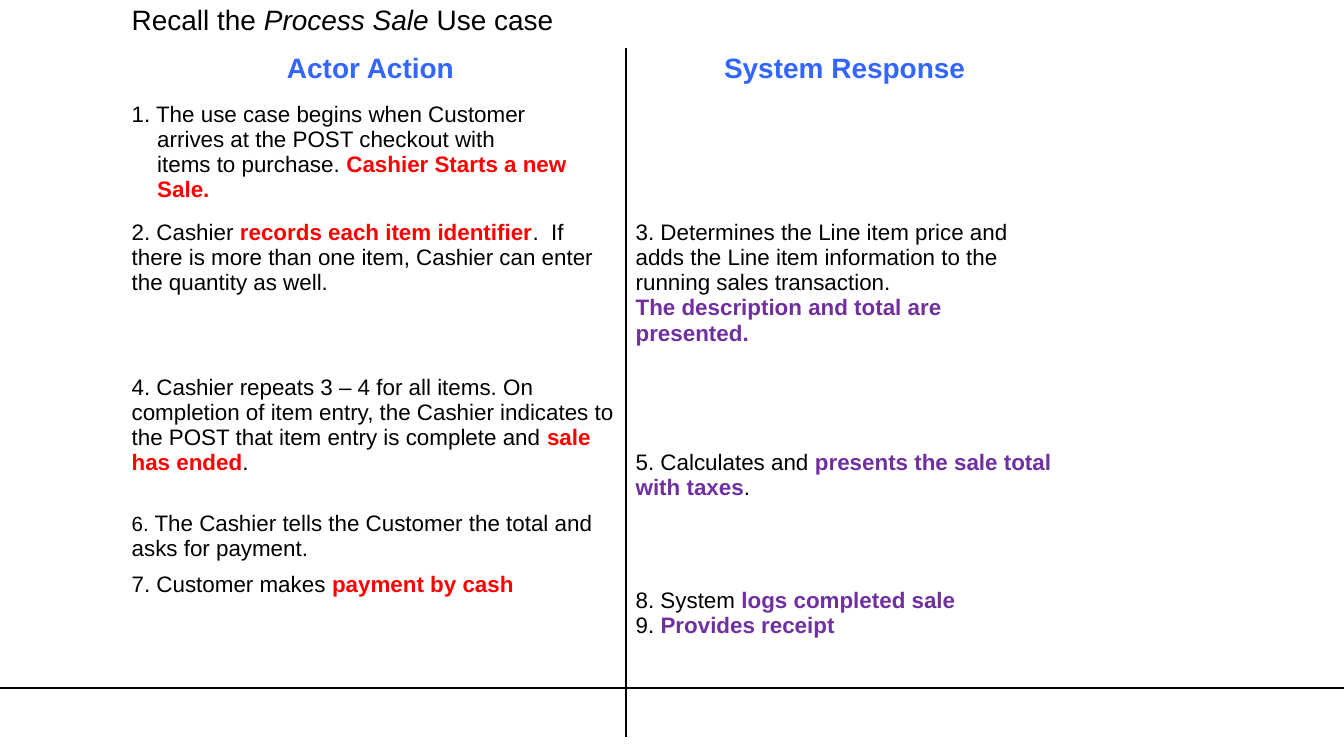
from dataclasses import dataclass
from typing import Optional

import pptx
import pptx.dml.color
import pptx.enum.shapes
import pptx.enum.text
import pptx.oxml
import pptx.oxml.ns
import pptx.util

Inches = pptx.util.Inches
Pt = pptx.util.Pt
RGBColor = pptx.dml.color.RGBColor

BLACK = RGBColor(0x00, 0x00, 0x00)
BLUE = RGBColor(0x33, 0x66, 0xFF)
RED = RGBColor(0xFF, 0x00, 0x00)
PURPLE = RGBColor(0x70, 0x30, 0xA0)

SLIDE_WIDTH = Inches(10)
SLIDE_HEIGHT = Inches(10 * 9 / 16)  # widescreen
COLUMN_WIDTHS = (3.75, 3.25)
ROW_HEIGHTS = (0.36, 0.36, 0.88, 1.15, 0.79, 0.44, 1.27)
STEP_INDENT = 0.19


@dataclass
class Piece:
    text: str
    color: Optional[RGBColor] = None  # a coloured piece is also bold
    italic: bool = False
    size: Optional[float] = None


@dataclass
class Line:
    pieces: list[Piece]
    size: float = 12
    indent: float = 0
    centered: bool = False


@dataclass
class Entry:
    row: int
    column: int
    lines: list[Line]
    top: float = 0.04


ENTRIES = [
    # Title and column headings
    Entry(0, 0, [Line([Piece("Recall the "), Piece("Process Sale ", italic=True),
                       Piece("Use case")], size=15)]),
    Entry(1, 0, [Line([Piece("Actor Action ", BLUE)], size=15, centered=True)]),
    Entry(1, 1, [Line([Piece("System Response", BLUE)], size=15, centered=True)]),
    # Actor actions
    Entry(2, 0, [
        Line([Piece("1. The use case begins when Customer")]),
        Line([Piece("arrives at the POST checkout with")], indent=STEP_INDENT),
        Line([Piece("items to purchase. "), Piece("Cashier Starts a new", RED)],
             indent=STEP_INDENT),
        Line([Piece("Sale.", RED)], indent=STEP_INDENT)]),
    Entry(3, 0, [Line([
        Piece("2. Cashier "), Piece("records each item identifier", RED),
        Piece(".  If there is more than one item, Cashier can enter the quantity as well.")])]),
    Entry(4, 0, [Line([
        Piece("4. Cashier repeats 3 – 4 for all items. On completion of item entry, the "
              "Cashier indicates to the POST that item entry is complete and "),
        Piece("sale has ended", RED), Piece(".")])]),
    Entry(5, 0, [Line([
        Piece("6. ", size=11),
        Piece("The Cashier tells the Customer the total and asks for payment.")])]),
    Entry(6, 0, [Line([Piece("7. Customer makes "), Piece("payment by cash", RED)])]),
    # System responses
    Entry(3, 1, [
        Line([Piece("3. Determines the Line item price and adds the Line item information "
                    "to the running sales transaction.")]),
        Line([Piece("The description and total are presented.", PURPLE)])]),
    Entry(4, 1, [Line([Piece("5. Calculates and "),
                       Piece("presents the sale total with taxes", PURPLE), Piece(".")])],
          top=0.6),
    Entry(6, 1, [
        Line([Piece("8. System "), Piece("logs completed sale", PURPLE)]),
        Line([Piece("9. "), Piece("Provides receipt", PURPLE)])], top=0.16),
]


def write_line(paragraph, line: Line) -> None:
    if line.indent:
        paragraph._p.get_or_add_pPr().set("marL", str(Inches(line.indent)))
    if line.centered:
        paragraph.alignment = pptx.enum.text.PP_ALIGN.CENTER
    paragraph.font.name = "Arial"
    paragraph.font.size = Pt(line.size)
    for piece in line.pieces:
        run = paragraph.add_run()
        run.text = piece.text
        run.font.color.rgb = piece.color or BLACK
        run.font.bold = piece.color is not None
        if piece.italic:
            run.font.italic = True
        if piece.size:
            run.font.size = Pt(piece.size)


def write_entry(table, entry: Entry) -> None:
    cell = table.cell(entry.row, entry.column)
    cell.margin_top = Inches(entry.top)
    frame = cell.text_frame
    for index, line in enumerate(entry.lines):
        write_line(frame.add_paragraph() if index else frame.paragraphs[0], line)


def set_borders(cell, divider: Optional[str]) -> None:
    """Rule the divider side in black and leave the other sides without a line."""
    properties = cell._tc.get_or_add_tcPr()
    for position, side in enumerate(("lnL", "lnR", "lnT", "lnB")):
        paint = (f'<a:solidFill><a:srgbClr val="{BLACK}"/></a:solidFill>'
                 if side == divider else "<a:noFill/>")
        properties.insert(position, pptx.oxml.parse_xml(
            f'<a:{side} {pptx.oxml.ns.nsdecls("a")} w="{Pt(1)}">{paint}</a:{side}>'))


def add_footer_rule(slide) -> None:
    rule = slide.shapes.add_connector(pptx.enum.shapes.MSO_CONNECTOR.STRAIGHT,
                                      0, Inches(5.12), SLIDE_WIDTH, Inches(5.12))
    rule.line.color.rgb = BLACK
    rule.line.width = Pt(0.75)
    rule._element.spPr.append(
        pptx.oxml.parse_xml(f'<a:effectLst {pptx.oxml.ns.nsdecls("a")}/>'))


def add_use_case_table(slide) -> None:
    table = slide.shapes.add_table(
        len(ROW_HEIGHTS), len(COLUMN_WIDTHS), Inches(0.91), 0,
        Inches(sum(COLUMN_WIDTHS)), Inches(sum(ROW_HEIGHTS))).table
    table.first_row = False
    table.horz_banding = False
    for column, width in zip(table.columns, COLUMN_WIDTHS):
        column.width = Inches(width)
    for row_index, (row, height) in enumerate(zip(table.rows, ROW_HEIGHTS)):
        row.height = Inches(height)
        for cell, side in zip(row.cells, ("lnR", "lnL")):
            cell.fill.background()
            cell.margin_left = cell.margin_right = Inches(0.07)
            cell.margin_top = cell.margin_bottom = Inches(0.04)
            set_borders(cell, side if row_index else None)
    table.cell(0, 0).merge(table.cell(0, 1))
    for entry in ENTRIES:
        write_entry(table, entry)


def main() -> None:
    deck = pptx.Presentation()
    deck.slide_width, deck.slide_height = SLIDE_WIDTH, SLIDE_HEIGHT
    slide = deck.slides.add_slide(deck.slide_layouts[6])
    add_footer_rule(slide)
    add_use_case_table(slide)
    deck.save("out.pptx")


if __name__ == "__main__":
    main()
